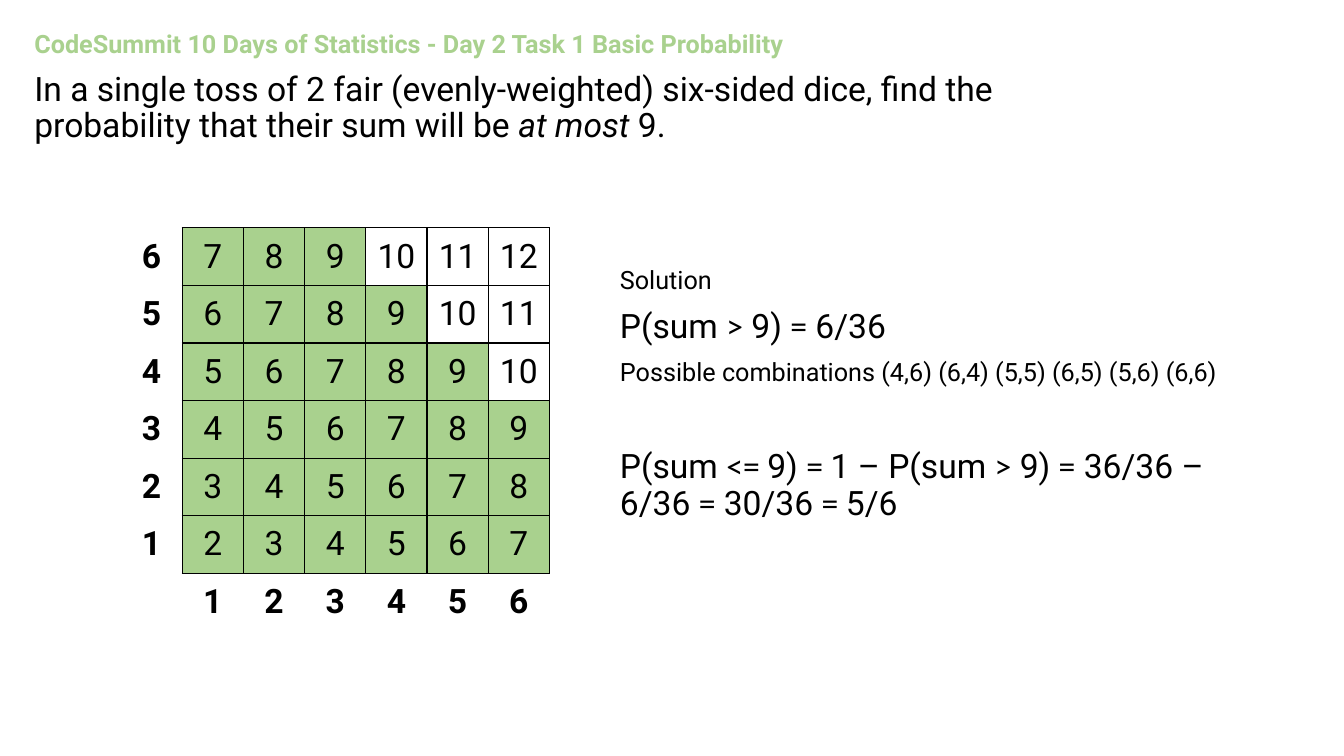
from lxml import etree
from pptx import Presentation
from pptx.dml.color import RGBColor
from pptx.enum.text import MSO_ANCHOR, MSO_AUTO_SIZE, PP_ALIGN
from pptx.oxml.ns import qn
from pptx.util import Inches, Pt

TOP, MIDDLE = MSO_ANCHOR.TOP, MSO_ANCHOR.MIDDLE
LEFT, CENTER = PP_ALIGN.LEFT, PP_ALIGN.CENTER
NO_AUTOFIT = MSO_AUTO_SIZE.NONE

TEXT_FONT, SYMBOL_FONT = "Roboto", "Calibri"
BLACK, WHITE, GREEN = "000000", "FFFFFF", "A9D18E"
SIDES = 6
LIMIT = 9


def color(value):
    return RGBColor.from_string(value)


def add_run(paragraph, text, size=24, font=TEXT_FONT, fill=BLACK, bold=False, italic=False):
    run = paragraph.add_run()
    run.text = text
    run.font.size = Pt(size)
    run.font.name = font
    run.font.color.rgb = color(fill)
    run.font.bold = bold
    run.font.italic = italic


def add_formula(paragraph, marked_text):
    """Bars separate the wording from the relation signs, which alternate."""
    for index, part in enumerate(marked_text.split("|")):
        add_run(paragraph, part, font=SYMBOL_FONT if index % 2 else TEXT_FONT)


def prepare_paragraphs(frame, count):
    frame.word_wrap = True
    frame.auto_size = NO_AUTOFIT
    frame.vertical_anchor = TOP
    for _ in range(count - 1):
        frame.add_paragraph()
    for paragraph in frame.paragraphs:
        paragraph.alignment = LEFT
        paragraph.line_spacing = 0.9
        paragraph.space_before = Pt(10)
    return frame.paragraphs


def set_border(cell, side, visible):
    line = etree.SubElement(cell._tc.get_or_add_tcPr(), qn(f"a:ln{side}"), w=str(Pt(1)))
    if visible:
        fill = etree.SubElement(line, qn("a:solidFill"))
        etree.SubElement(fill, qn("a:srgbClr"), val=BLACK)
    else:
        etree.SubElement(line, qn("a:noFill"))


def add_heading(slide, left, top, width, height):
    title = slide.shapes.title
    title.left, title.top = Inches(left), Inches(top)
    title.width, title.height = Inches(width), Inches(height)
    source, question = prepare_paragraphs(title.text_frame, 2)
    add_run(source, "CodeSummit 10 Days of Statistics - Day 2 Task 1 Basic Probability",
            size=18, fill=GREEN, bold=True)
    add_run(question, "In a single toss of 2 fair (evenly-weighted) six-sided dice, "
                      "find the probability that their sum will be ")
    add_run(question, "at most ", italic=True)
    add_run(question, "9.")


def add_dice_table(slide, left, top, width, height):
    count = SIDES + 1
    frame = slide.shapes.add_table(count, count, Inches(left), Inches(top),
                                   Inches(width), Inches(height))
    table = frame.table
    table.first_row = table.horz_banding = False
    for row in range(count):
        for column in range(count):
            cell = table.cell(row, column)
            cell.vertical_anchor = MIDDLE
            first, second = column, SIDES - row  # 0 marks the label column and row
            is_sum = first > 0 and second > 0
            # Borders: the sums are boxed, the labels only touch the box
            set_border(cell, "L", is_sum)
            set_border(cell, "R", second > 0)
            set_border(cell, "T", first > 0)
            set_border(cell, "B", is_sum)
            # Fill: sums within the limit are green
            total = first + second
            if is_sum:
                cell.fill.solid()
                cell.fill.fore_color.rgb = color(GREEN if total <= LIMIT else WHITE)
            else:
                cell.fill.background()
            if total:
                paragraph = cell.text_frame.paragraphs[0]
                paragraph.alignment = CENTER
                add_run(paragraph, str(total), bold=not is_sum)


def add_solution(slide, left, top, width, height):
    box = slide.shapes.add_textbox(Inches(left), Inches(top), Inches(width), Inches(height))
    label, above, combinations, result = prepare_paragraphs(box.text_frame, 4)
    add_run(label, "Solution", size=18)
    add_formula(above, "P(sum |>| 9) |=| 6/36")
    add_run(combinations, "Possible combinations (4,6) (6,4) (5,5) (6,5) (5,6) (6,6)", size=18)
    result.space_before = Pt(45)
    add_formula(result, "P(sum |<= |9) |= |1 – P(sum |>| 9) |=| 36/36 – 6/36 |=| 30/36 |= |5/6")


def main():
    presentation = Presentation()
    presentation.slide_width, presentation.slide_height = Inches(13.33), Inches(7.5)
    title_only = presentation.slide_layouts.get_by_name("Title Only")
    slide = presentation.slides.add_slide(title_only)
    add_heading(slide, 0.24, 0.26, 10, 1.81)
    add_dice_table(slide, 1.2, 2.26, 4.25, 4)
    add_solution(slide, 6.05, 2.61, 6.29, 4.5)
    presentation.save("out.pptx")


if __name__ == "__main__":
    main()
